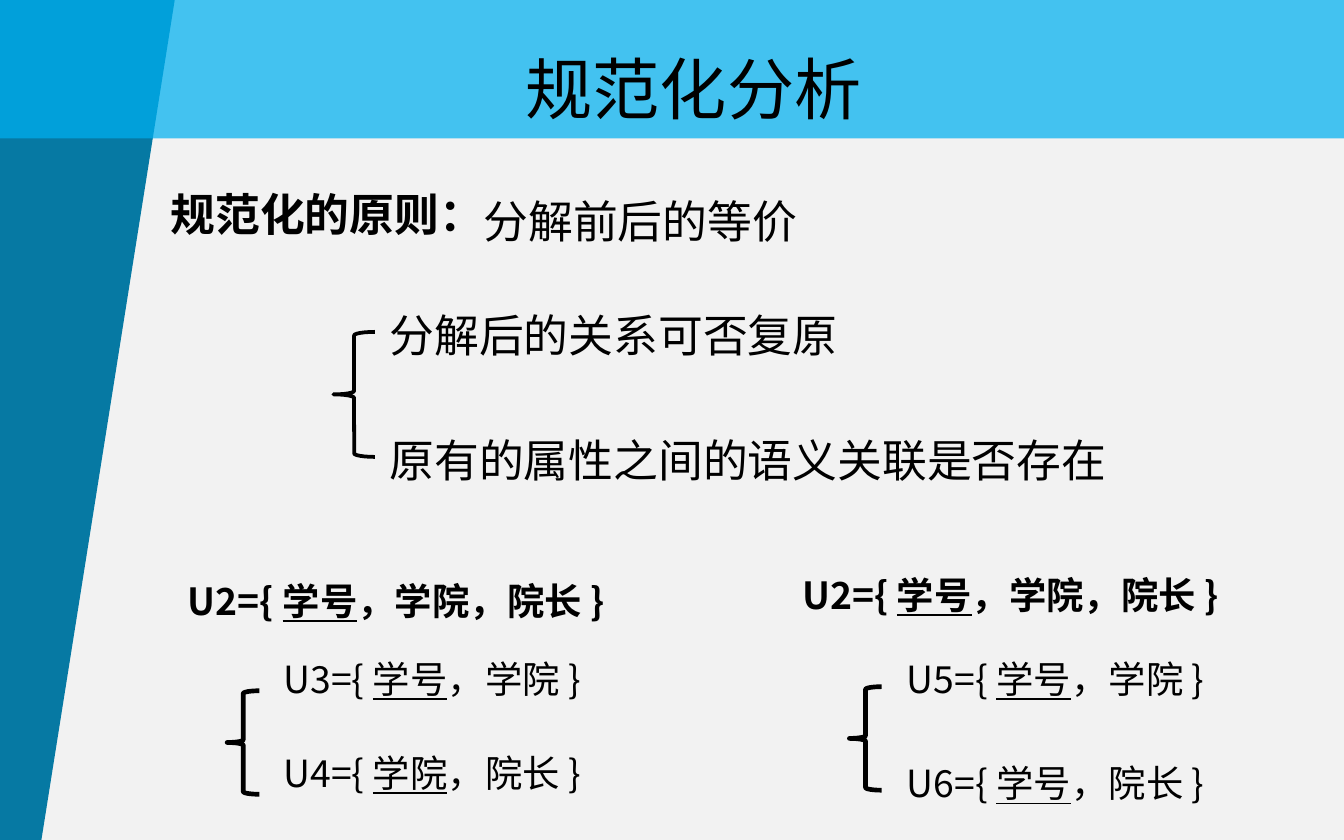
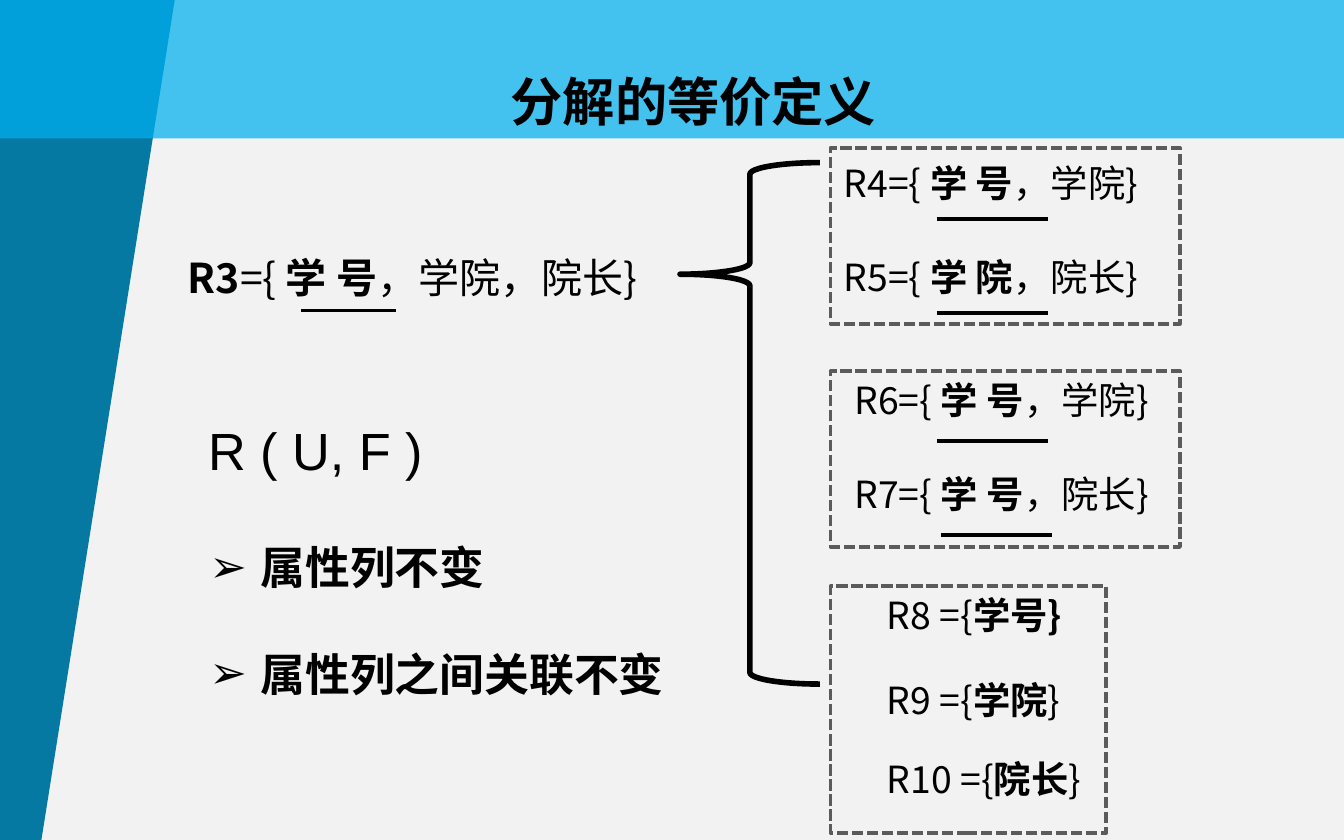
from lxml import etree
from pptx import Presentation
from pptx.dml.color import RGBColor
from pptx.enum.dml import MSO_LINE
from pptx.enum.shapes import MSO_CONNECTOR, MSO_SHAPE
from pptx.enum.text import MSO_ANCHOR, MSO_AUTO_SIZE, PP_ALIGN
from pptx.oxml.ns import qn
from pptx.util import Inches, Pt

RECT, BRACE = MSO_SHAPE.RECTANGLE, MSO_SHAPE.LEFT_BRACE
STRAIGHT, DASH = MSO_CONNECTOR.STRAIGHT, MSO_LINE.SQUARE_DOT
JUSTIFY, CENTER = PP_ALIGN.JUSTIFY, PP_ALIGN.CENTER

# The grid: 100 columns by 62.5 rows of square cells
CELL = Inches(0.1)
COLUMNS, ROWS = 100, 62.5

BACKGROUND, SIDEBAR, BAND = "F2F2F2", "0679A3", "00B0F0"
INK, FRAME = "000000", "5A5B5D"
BAND_OPACITY = 72
HAN, LATIN = "Noto Sans CJK SC", "Arial"
TEXT_LEFT = 13


def cells(*counts):
    return [round(count * CELL) for count in counts]


def rgb(value):
    return RGBColor.from_string(value)


def add_xml(parent, tag, **attributes):
    return etree.SubElement(parent, qn(tag), attributes)


def fill_solid(shape, color):
    shape.shadow.inherit = False
    shape.fill.solid()
    shape.fill.fore_color.rgb = rgb(color)
    shape.line.fill.background()


def outline(shape, color, width, dash=None):
    shape.shadow.inherit = False
    shape.fill.background()
    shape.line.color.rgb = rgb(color)
    shape.line.width = Pt(width)
    shape.line.dash_style = dash


def add_brace(shapes, box, width, adjustments=()):
    brace = shapes.add_shape(BRACE, *cells(*box))
    outline(brace, INK, width)
    for index, value in enumerate(adjustments):
        brace.adjustments[index] = value


def add_frame(shapes, box):
    outline(shapes.add_shape(RECT, *cells(*box)), FRAME, 2, DASH)


def add_key_line(shapes, left, top, length):
    line = shapes.add_connector(STRAIGHT, *cells(left, top, left + length, top))
    line.line.color.rgb = rgb(INK)
    line.line.width = Pt(2)
    add_xml(line._element.spPr, "a:effectLst")


def add_text(shapes, box, text, size, emphasis="bold", font=HAN, wrap=True,
             align=JUSTIFY, spacing=None, **style):
    """Write one paragraph; parts between bars take the emphasis."""
    label = shapes.add_textbox(*cells(*box))
    frame = label.text_frame
    frame.word_wrap = wrap
    frame.auto_size = MSO_AUTO_SIZE.SHAPE_TO_FIT_TEXT
    frame.vertical_anchor = MSO_ANCHOR.TOP
    paragraph = frame.paragraphs[0]
    paragraph.alignment = align
    paragraph.line_spacing = spacing
    for index, part in enumerate(text.split("|")):
        if not part:
            continue
        run = paragraph.add_run()
        run.text = part
        run.font.color.rgb = rgb(INK)
        formats = {"size": Pt(size), "name": font, **style}
        if index % 2:
            formats[emphasis] = True
        for name, value in formats.items():
            setattr(run.font, name, value)
        add_xml(run.font._element, "a:ea", typeface=HAN)
    return paragraph


def add_bullet(shapes, box, text):
    paragraph = add_text(shapes, box, text, 24, bold=True)
    properties = paragraph._p.get_or_add_pPr()
    indent = Inches(0.38)
    properties.set("marL", str(indent))
    properties.set("indent", str(-indent))
    add_xml(properties, "a:buFont", typeface=LATIN)
    add_xml(properties, "a:buChar", char="➢")


def add_base_slide(deck):
    """Start a slide with its background, slanted sidebar and title band."""
    slide = deck.slides.add_slide(deck.slide_layouts[6])
    slide.background.fill.solid()
    slide.background.fill.fore_color.rgb = rgb(BACKGROUND)
    shapes = slide.shapes

    corners = [cells(*c) for c in ((0, -0.1), (13, 0), (3, 63), (-0.1, 62.9))]
    builder = shapes.build_freeform(*corners[0])
    builder.add_line_segments(corners[1:], close=True)
    fill_solid(builder.convert_to_shape(), SIDEBAR)

    band = shapes.add_shape(RECT, *cells(-0.1, 0, COLUMNS + 0.1, 10.3))
    fill_solid(band, BAND)
    color = band._element.spPr.find(qn("a:solidFill"))[0]
    add_xml(color, "a:alpha", val=str(BAND_OPACITY * 1000))
    return shapes


def add_title(shapes, text, size, spacing, **style):
    add_text(shapes, (TEXT_LEFT, 0, 77.2, 10.2), text, size, font=LATIN,
             align=CENTER, spacing=spacing, **style)


def add_split(shapes, left, top, whole, parts, brace):
    """Show a relation and, behind a brace, the relations it splits into."""
    add_text(shapes, (left, top, 35.6, 4.4), whole, 20, "underline", bold=True)
    for part_left, part_top, part in parts:
        add_text(shapes, (part_left, part_top, 27.6, 4.4), part, 20, "underline")
    add_brace(shapes, (*brace, 2.4, 7.7), 2.5)


def add_pair(slide_shapes, top, text_left, text_top, relations, key_lines):
    """Frame two relations, each with a line under its key."""
    shapes = slide_shapes.add_group_shape().shapes
    for row, (relation, key_line) in enumerate(zip(relations, key_lines)):
        add_text(shapes, (text_left, text_top + 7 * row, 27.6, 4.4), relation, 20)
        add_key_line(shapes, *key_line, 8.3)
    add_frame(shapes, (61.8, top, 26, 13.1))


def build_principles(deck):
    shapes = add_base_slide(deck)

    # Principle and its two questions
    add_text(shapes, (11.7, 13.4, 25.7, 5), "规范化的原则：", 24, wrap=False, bold=True)
    for left, top, width, text in (
        (35, 13.9, 25.6, "分解前后的等价"),
        (28, 22.4, 35.7, "分解后的关系可否复原"),
        (28, 31.7, 55.9, "原有的属性之间的语义关联是否存在"),
    ):
        add_text(shapes, (left, top, width, 5), text, 24, wrap=False)
    add_brace(shapes, (24.8, 24.7, 3.1, 9.3), 2)

    # Two ways to split U2
    whole = "U2={ |学号|，学院，院长 }"
    add_split(shapes, TEXT_LEFT, 42.5, whole,
              [(20.1, 48.3, "U3={ |学号|，学院 }"), (20.1, 55.3, "U4={ |学院|，院长 }")],
              (16.9, 51.4))
    add_split(shapes, 58.7, 42.1, whole,
              [(66.5, 48.3, "U5={ |学号|，学院 }"), (66.5, 56.1, "U6={ |学号|，院长 }")],
              (63.2, 51.1))
    add_title(shapes, "规范化分析", 36, 1.5)


def build_equivalence(deck):
    shapes = add_base_slide(deck)

    # Relation to be split
    source = shapes.add_group_shape().shapes
    add_text(source, (TEXT_LEFT, 18.3, 37.8, 4.7), "|R3|={ |学 号|，学院，院长}", 22)
    add_key_line(source, 22.4, 23.1, 7.1)

    # Three ways to split it
    add_pair(shapes, 11, 61.8, 11.4, ("R4={ |学 号|，学院}", "R5={ |学 院|，院长}"),
             ((69.7, 16.3), (69.7, 23.3)))
    add_pair(shapes, 27.6, 62.6, 27.6, ("R6={ |学 号|，学院}", "R7={ |学 号|，院长}"),
             ((69.7, 32.8), (70, 39.8)))
    singles = shapes.add_group_shape().shapes
    add_frame(singles, (61.8, 43.6, 20.5, 18.4))
    for top, text in ((43.6, "R8 ={|学号}|"), (49.9, "R9 ={|学院|}"),
                      (55.8, "R10 ={|院长|}")):
        add_text(singles, (65, top, 18.1, 4.4), text, 20)
    add_brace(shapes, (50.6, 12.1, 10.4, 38.8), 3, (0.083, 0.214))

    # What must stay the same
    add_bullet(shapes, (14.6, 39.7, 27.9, 5), "属性列不变")
    add_bullet(shapes, (14.6, 47.6, 38.6, 5), "属性列之间关联不变")
    add_text(shapes, (14.5, 30.6, 21, 5.7), "R ( U, F )", 28, font=LATIN)
    add_title(shapes, "分解的等价定义", 28, 2.0, bold=True)


def main():
    deck = Presentation()
    deck.slide_width, deck.slide_height = cells(COLUMNS, ROWS)
    build_principles(deck)
    build_equivalence(deck)
    deck.save("out.pptx")


if __name__ == "__main__":
    main()
